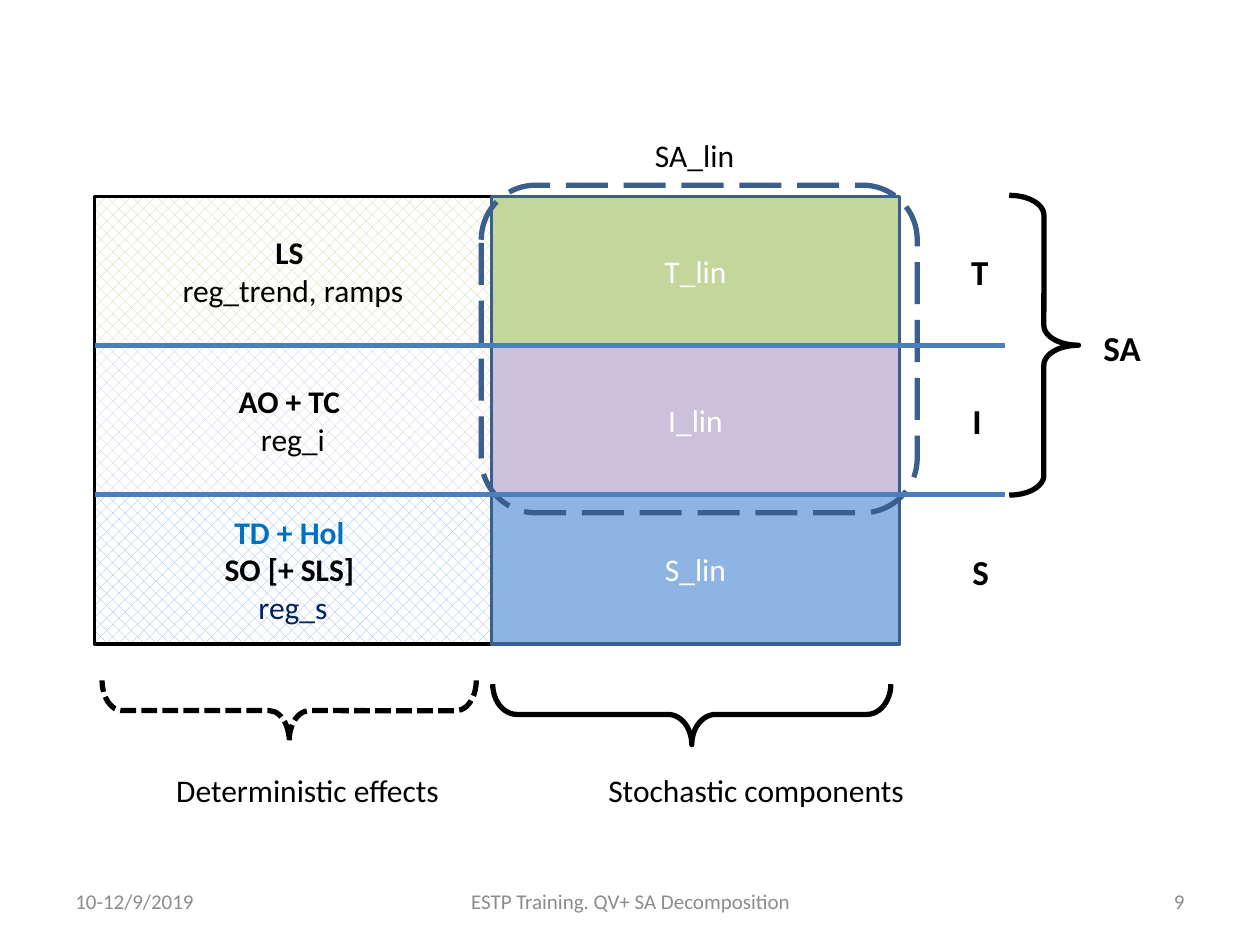
from lxml import etree
from pptx import Presentation, util as u
from pptx.dml.color import RGBColor
from pptx.enum import dml, shapes, text
from pptx.oxml.ns import qn

FONT = "Calibri"
BLACK, WHITE, GREY = "000000", "FFFFFF", "8C8C8C"
OUTLINE, DIVIDER = "3A5F8C", "4B7EBC"
LEFT, CENTER, RIGHT = text.PP_ALIGN.LEFT, text.PP_ALIGN.CENTER, text.PP_ALIGN.RIGHT

# Row fill, deterministic lines (text, colour, bold), stochastic component
ROWS = [
    ("C3D69B", [("LS ", BLACK, True), ("reg_trend, ramps", BLACK, False)], "T_lin"),
    ("CCC1DA", [("AO + TC ", BLACK, True), ("reg_i", BLACK, False)], "I_lin"),
    ("8EB4E3", [("TD + Hol ", "0070C0", True), ("SO [+ SLS] ", BLACK, True),
                ("reg_s", "002060", False)], "S_lin"),
]


def rgb(color):
    return RGBColor.from_string(color)


def write_lines(shape, lines, size=18, align=CENTER):
    """Write one paragraph for each (text, colour, bold) line."""
    frame = shape.text_frame
    frame.text = "\n".join(line[0] for line in lines)
    for paragraph, (_, color, bold) in zip(frame.paragraphs, lines):
        paragraph.alignment = align
        font = paragraph.runs[0].font
        font.name, font.size, font.bold = FONT, u.Pt(size), bold
        font.color.rgb = rgb(color)


def add_label(slide, box, words, size=18, bold=False, color=BLACK, align=LEFT,
              wrap=False, anchor=text.MSO_ANCHOR.TOP):
    label = slide.shapes.add_textbox(*map(u.Inches, box))
    label.text_frame.word_wrap = wrap
    label.text_frame.vertical_anchor = anchor
    write_lines(label, [(words, color, bold)], size, align)


def add_outlined(slide, kind, box, color, width, dash=None):
    """Add an unfilled, shadowless preset shape."""
    shape = slide.shapes.add_shape(kind, *map(u.Inches, box))
    shape.shadow.inherit = False
    shape.fill.background()
    shape.line.color.rgb = rgb(color)
    shape.line.width = u.Pt(width)
    if dash:
        shape.line.dash_style = dash
    return shape


def add_cell(slide, box, fill_color, line_color, lines, hatched=False):
    cell = add_outlined(slide, shapes.MSO_SHAPE.RECTANGLE, box, line_color, 2)
    if hatched:
        cell.fill.patterned()
        cell.fill.pattern = dml.MSO_PATTERN.PERCENT_30
        cell.fill.fore_color.rgb = rgb(fill_color)
        cell.fill.back_color.rgb = rgb(WHITE)
    else:
        cell.fill.solid()
        cell.fill.fore_color.rgb = rgb(fill_color)
    cell.text_frame.vertical_anchor = text.MSO_ANCHOR.MIDDLE
    write_lines(cell, lines)


def add_brace(slide, box, curve, downward=False, dash=None):
    """Add a brace whose visible extent is box, pointing right or down."""
    left, top, width, height = box
    if downward:
        shift = (width - height) / 2
        box = (left + shift, top - shift, height, width)
    brace = add_outlined(slide, shapes.MSO_SHAPE.RIGHT_BRACE, box, BLACK, 3, dash)
    brace.adjustments[0] = curve
    brace.rotation = 90 if downward else 0


def add_divider(slide, left, right, y):
    divider = slide.shapes.add_connector(
        shapes.MSO_CONNECTOR.STRAIGHT, *map(u.Inches, (left, y, right, y)))
    divider.line.color.rgb = rgb(DIVIDER)
    divider.line.width = u.Pt(3)
    etree.SubElement(divider.element.spPr, qn("a:effectLst"))


def add_grid(slide, box, split):
    """Fill box with the effect rows; split is the width of the first column."""
    left, top, width, height = box
    row_height = height / len(ROWS)
    for row, (color, effects, component) in enumerate(ROWS):
        y = top + row * row_height
        add_cell(slide, (left, y, split, row_height), color, BLACK, effects, hatched=True)
        add_cell(slide, (left + split, y, width - split, row_height), color, OUTLINE,
                 [(component, WHITE, False)])


def add_dividers(slide, box, right):
    left, top, _, height = box
    for row in range(1, len(ROWS)):
        add_divider(slide, left, right, top + row * height / len(ROWS))


def add_series_labels(slide):
    for words, left, top in (("T", 7.61, 1.94), ("I", 7.62, 3.12), ("S", 7.62, 4.32)):
        add_label(slide, (left, top, 0.4, 0.44), words, 20, True, wrap=True)
    add_brace(slide, (8.01, 1.55, 0.55, 2.38), 0.285)
    add_label(slide, (8.66, 2.54, 0.5, 0.44), "SA", 20, True)


def add_column_labels(slide):
    add_brace(slide, (0.81, 5.4, 2.97, 0.48), 0.333, True, dml.MSO_LINE.SQUARE_DOT)
    add_label(slide, (1.3, 6.07, 2.32, 0.4), "Deterministic effects")
    add_brace(slide, (3.91, 5.43, 3.16, 0.48), 0.396, True)
    add_label(slide, (4.73, 6.07, 2.57, 0.4), "Stochastic components")


def add_linear_frame(slide, box):
    add_outlined(slide, shapes.MSO_SHAPE.ROUNDED_RECTANGLE, box, OUTLINE, 3,
                 dml.MSO_LINE.LONG_DASH)
    add_label(slide, (5.1, 1.03, 0.84, 0.4), "SA_lin")


def add_footer(slide, top, height):
    for left, width, words, align in (
            (0.5, 2.33, "10-12/9/2019", LEFT),
            (3.42, 3.17, "ESTP Training. QV+ SA Decomposition", CENTER),
            (7.17, 2.33, "9", RIGHT)):
        add_label(slide, (left, top, width, height), words, 12, color=GREY, align=align,
                  wrap=True, anchor=text.MSO_ANCHOR.MIDDLE)


def main():
    presentation = Presentation()
    presentation.slide_width = u.Inches(10)
    presentation.slide_height = u.Inches(7.5)
    slide = presentation.slides.add_slide(presentation.slide_layouts[6])
    grid = (0.75, 1.56, 6.39, 3.55)
    add_grid(slide, grid, split=3.15)
    add_series_labels(slide)
    add_column_labels(slide)
    add_linear_frame(slide, (3.82, 1.47, 3.46, 2.6))
    add_dividers(slide, grid, right=7.98)
    add_footer(slide, 6.95, 0.4)
    presentation.save("out.pptx")


if __name__ == "__main__":
    main()
